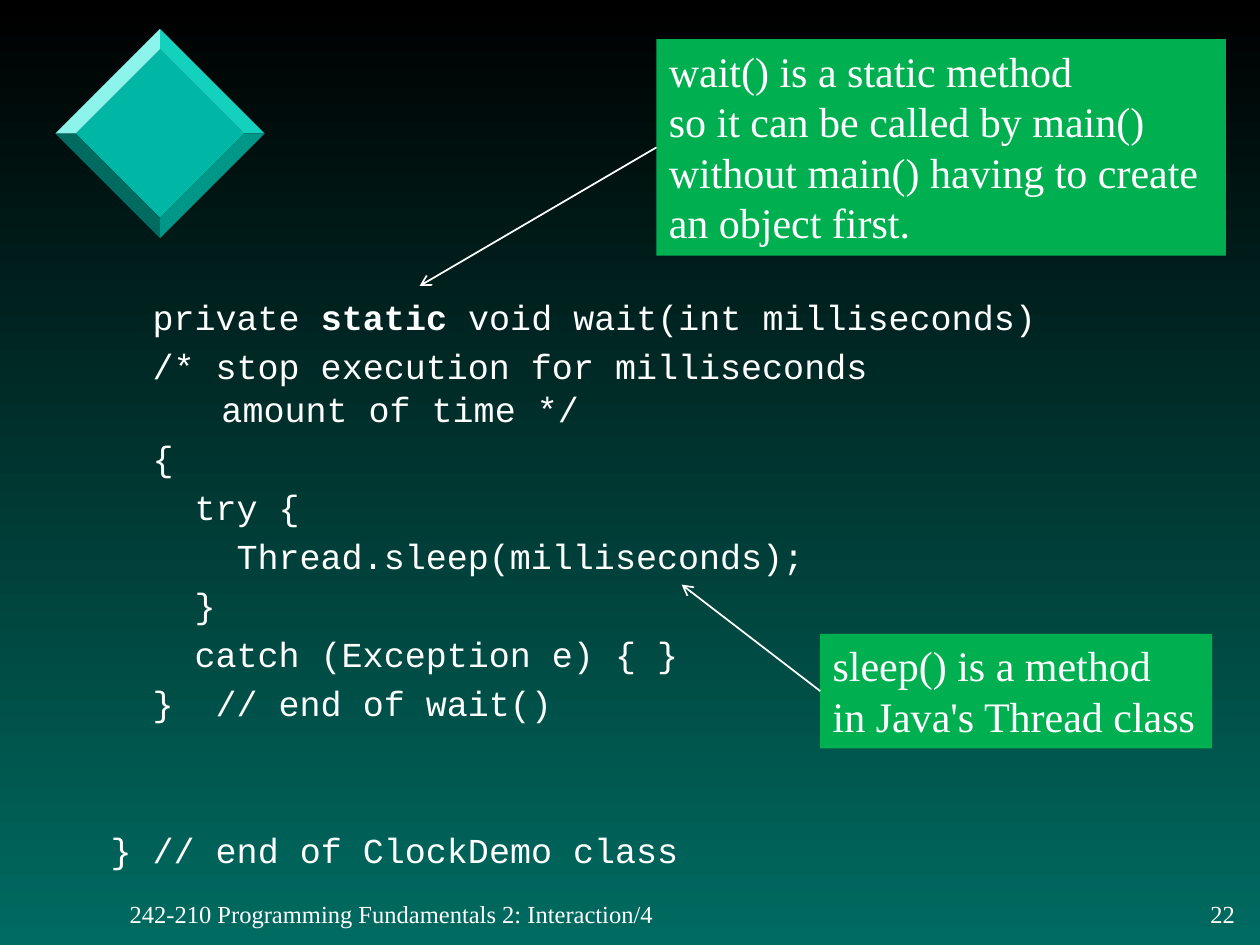
from lxml import etree
from pptx import Presentation
from pptx.dml.color import RGBColor
from pptx.enum.shapes import MSO_CONNECTOR, MSO_SHAPE
from pptx.enum.text import MSO_ANCHOR, PP_ALIGN
from pptx.oxml.ns import qn
from pptx.util import Inches, Pt

RECTANGLE, STRAIGHT = MSO_SHAPE.RECTANGLE, MSO_CONNECTOR.STRAIGHT
TOP, MIDDLE = MSO_ANCHOR.TOP, MSO_ANCHOR.MIDDLE
LEFT, RIGHT = PP_ALIGN.LEFT, PP_ALIGN.RIGHT
LEFT_SIDE = 1

THEME = {
    "code_font": "Courier New", "text_font": "Times New Roman",
    "code_size": 20, "callout_size": 24, "footer_size": 14,
    "leading": 1.2, "code_gap": 4,
    "text": "FFFFFF", "callout": "00B050",
    "sky": "000000", "ground": "006B61",
    "face": "00B7A5",
    "facets": ("14D1BE", "009688", "006B61", "8CF4EA"),  # clockwise from top right
}

# Content: (indent in characters, runs as (text, bold), blank lines above)
CODE = [
    (2, [("private ", False), ("static", True), (" void wait(int milliseconds)", False)], 0),
    (2, [("/* stop execution for milliseconds\namount of time */", False)], 0),
    (2, [("{", False)], 0),
    (4, [("try {", False)], 0),
    (6, [("Thread.sleep(milliseconds);", False)], 0),
    (4, [("}", False)], 0),
    (4, [("catch (Exception e) { }", False)], 0),
    (2, [("}  // end of wait()", False)], 0),
    (0, [("} // end of ClockDemo class", False)], 2),
]
CODE_BOX = (0.78, 2.3, 8.5, 4.5)
CONTINUATION = 0.88  # where a broken code line resumes, in inches

# Callouts: box, lines, arrow target
CALLOUTS = [
    ((6.51, 5.03, 3.11, 0.91),
     ["sleep() is a method", "in Java's Thread class"], (5.41, 4.64)),
    ((5.21, 0.31, 4.52, 1.72),
     ["wait() is a static method", "so it can be called by main()",
      "without main() having to create\nan object first."], (3.33, 2.27)),
]
FOOTERS = [
    ((0.93, 7.09, 4.39, 0.33), "242-210 Programming Fundamentals 2: Interaction/4", LEFT),
    ((9.48, 7.09, 0.42, 0.33), "22", RIGHT),
]
GEM_CENTER, GEM_INNER, GEM_OUTER = (1.27, 1.06), 0.67, 0.83


def rgb(name):
    return RGBColor.from_string(name)


def inches(values):
    return [Inches(value) for value in values]


def prepare(frame, anchor=TOP):
    frame.word_wrap = True
    frame.vertical_anchor = anchor
    return frame


def paragraph_at(frame, index):
    return frame.add_paragraph() if index else frame.paragraphs[0]


def write(paragraph, text, font, size, bold=False):
    for number, line in enumerate(text.split("\n")):
        if number:
            paragraph.add_line_break()
        run = paragraph.add_run()
        run.text = line
        run.font.name, run.font.size, run.font.bold = font, Pt(size), bold
        run.font.color.rgb = rgb(THEME["text"])


def add_polygon(slide, points, color):
    start, *rest = [inches(point) for point in points]
    builder = slide.shapes.build_freeform(*start)
    builder.add_line_segments(rest, close=True)
    polygon = builder.convert_to_shape()
    polygon.shadow.inherit = False
    polygon.fill.solid()
    polygon.fill.fore_color.rgb = rgb(color)
    polygon.line.fill.background()


def add_gem(slide):
    x, y = GEM_CENTER
    inner, outer = [[(x, y - r), (x + r, y), (x, y + r), (x - r, y)]
                    for r in (GEM_INNER, GEM_OUTER)]
    add_polygon(slide, inner, THEME["face"])
    for side, color in enumerate(THEME["facets"]):
        after = (side + 1) % 4
        add_polygon(slide, [inner[side], outer[side], outer[after], inner[after]], color)


def add_code(slide):
    size = THEME["code_size"]
    leading = size * THEME["leading"]
    frame = prepare(slide.shapes.add_textbox(*inches(CODE_BOX)).text_frame)
    for index, (indent, runs, blanks) in enumerate(CODE):
        paragraph = paragraph_at(frame, index)
        paragraph.line_spacing = Pt(leading)
        gap = THEME["code_gap"]
        paragraph.space_before = Pt(gap + blanks * (leading + gap))
        first = Pt(indent * size * 0.6)  # a monospaced character is 0.6 em wide
        margin = Inches(CONTINUATION)
        properties = paragraph._p.get_or_add_pPr()
        properties.set("marL", str(margin))
        properties.set("indent", str(first - margin))
        for text, bold in runs:
            write(paragraph, text, THEME["code_font"], size, bold)


def add_callout(slide, box, lines, target):
    callout = slide.shapes.add_shape(RECTANGLE, *inches(box))
    callout.shadow.inherit = False
    callout.fill.solid()
    callout.fill.fore_color.rgb = rgb(THEME["callout"])
    callout.line.fill.background()
    frame = prepare(callout.text_frame)
    size = THEME["callout_size"]
    for index, line in enumerate(lines):
        paragraph = paragraph_at(frame, index)
        paragraph.alignment = LEFT
        paragraph.line_spacing = Pt(size * THEME["leading"])
        write(paragraph, line, THEME["text_font"], size)

    # Arrow from the callout to the code it explains
    left, top, _, height = box
    arrow = slide.shapes.add_connector(
        STRAIGHT, *inches((left, top + height / 2)), *inches(target))
    arrow.begin_connect(callout, LEFT_SIDE)
    arrow.line.color.rgb = rgb(THEME["text"])
    arrow.line.width = Pt(1)
    etree.SubElement(arrow.line._get_or_add_ln(), qn("a:tailEnd"), type="arrow")
    etree.SubElement(arrow._element.spPr, qn("a:effectLst"))


def add_footer(slide, box, text, alignment):
    frame = prepare(slide.shapes.add_textbox(*inches(box)).text_frame, MIDDLE)
    paragraph = frame.paragraphs[0]
    paragraph.alignment = alignment
    write(paragraph, text, THEME["text_font"], THEME["footer_size"])


def main():
    deck = Presentation()
    deck.slide_width, deck.slide_height = inches((10, 7.5))
    slide = deck.slides.add_slide(deck.slide_layouts[6])

    # Background fades downwards
    backdrop = slide.background.fill
    backdrop.gradient()
    backdrop.gradient_angle = 270
    for stop, name in zip(backdrop.gradient_stops, ("sky", "ground")):
        stop.color.rgb = rgb(THEME[name])

    add_gem(slide)
    for footer in FOOTERS:
        add_footer(slide, *footer)
    add_code(slide)
    for callout in CALLOUTS:
        add_callout(slide, *callout)
    deck.save("out.pptx")


if __name__ == "__main__":
    main()
